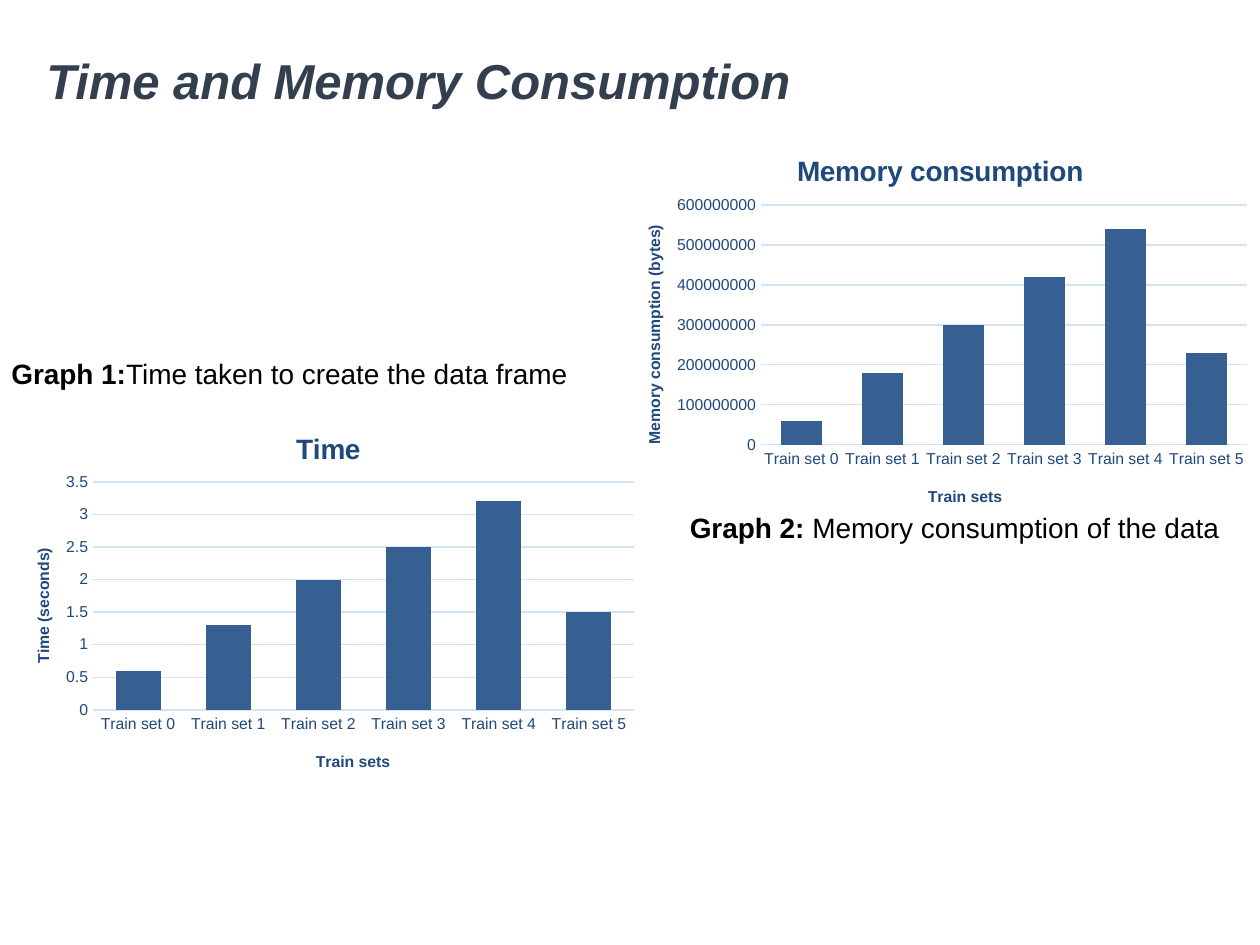
from dataclasses import dataclass

from lxml import etree
from pptx import Presentation
from pptx.chart.data import CategoryChartData
from pptx.dml.color import RGBColor
from pptx.enum.chart import XL_CHART_TYPE, XL_TICK_MARK
from pptx.enum.text import MSO_ANCHOR, PP_ALIGN
from pptx.oxml.ns import qn
from pptx.util import Emu, Pt

COLUMN = XL_CHART_TYPE.COLUMN_CLUSTERED
NO_TICK = XL_TICK_MARK.NONE
MIDDLE = MSO_ANCHOR.MIDDLE
LEFT, CENTER = PP_ALIGN.LEFT, PP_ALIGN.CENTER
PX = 914400 / 126
SETS = [f"Train set {i}" for i in range(6)]


@dataclass(frozen=True)
class Theme:
    face: str = "Arial"
    head: str = "333F4F"
    text: str = "000000"
    chart: str = "1F497D"
    bar: str = "376092"
    grid: str = "D4E3F4"
    head_size: int = 28
    body_size: int = 16
    axis_size: int = 9


THEME = Theme()


def px(*sizes):
    return [Emu(round(size * PX)) for size in sizes]


def style(font, size, color, **extra):
    values = {"name": THEME.face, "size": Pt(size), **extra}
    for name, value in values.items():
        setattr(font, name, value)
    font.color.rgb = RGBColor.from_string(color)


def rule(line):
    line.color.rgb = RGBColor.from_string(THEME.grid)
    line.width = Pt(0.75)


def add_text(slide, box, runs, size, color, align=LEFT, **extra):
    """Place one line; each run is a (text, format values) pair."""
    frame = slide.shapes.add_textbox(*px(*box)).text_frame
    frame.word_wrap = True
    para = frame.paragraphs[0]
    para.alignment = align
    for text, form in runs:
        run = para.add_run()
        run.text = text
        style(run.font, size, color, **form, **extra)
    return frame


def add_head(slide, box, text):
    form = {"bold": True, "italic": True}
    frame = add_text(slide, box, [(text, form)], THEME.head_size, THEME.head)
    frame.vertical_anchor = MIDDLE
    frame.paragraphs[0].line_spacing = 0.9


def add_note(slide, box, label, text):
    runs = [(label, {"bold": True}), (text, {"bold": False})]
    add_text(slide, box, runs, THEME.body_size, THEME.text, CENTER)


def pin(host, index, box, spot):
    """Fix a chart part at spot, given in px from the chart's corner."""
    for old in host.findall(qn("c:layout")):
        host.remove(old)
    layout = etree.Element(qn("c:layout"))
    manual = etree.SubElement(layout, qn("c:manualLayout"))
    values = {"xMode": "edge", "yMode": "edge"}
    if len(spot) == 4:
        values = {"layoutTarget": "inner", **values}
    for name, length, whole in zip("xywh", spot, box[2:] * 2):
        values[name] = f"{length / whole:.4f}"
    for name, value in values.items():
        etree.SubElement(manual, qn(f"c:{name}")).set("val", value)
    host.insert(index, layout)


def add_title(owner, text, size, box, spot):
    """Title a chart or an axis; both offer the same has_title switch."""
    owner.has_title = True
    title = getattr(owner, "chart_title", None) or owner.axis_title
    frame = title.text_frame
    frame.text = text
    style(frame.paragraphs[0].runs[0].font, size, THEME.chart, bold=True)
    pin(title._element, 1, box, spot)


def add_graph(slide, box, title, unit, series, top, step, plot, spots):
    data = CategoryChartData()
    data.categories = SETS
    data.add_series(*series)
    chart = slide.shapes.add_chart(COLUMN, *px(*box), data).chart
    chart.has_legend = False
    style(chart.font, THEME.axis_size, THEME.chart)

    bars = chart.plots[0]
    form = {"gap_width": 100, "overlap": -24, "vary_by_categories": False}
    for name, value in form.items():
        setattr(bars, name, value)
    fill = bars.series[0].format.fill
    fill.solid()
    fill.fore_color.rgb = RGBColor.from_string(THEME.bar)

    cat, val = chart.category_axis, chart.value_axis
    for axis in (cat, val):
        axis.major_tick_mark = axis.minor_tick_mark = NO_TICK
        style(axis.tick_labels.font, THEME.axis_size, THEME.chart)
    scale = {"minimum_scale": 0, "maximum_scale": top, "major_unit": step}
    for name, value in scale.items():
        setattr(val, name, value)
    rule(cat.format.line)
    rule(val.major_gridlines.format.line)
    val.format.line.fill.background()

    titles = [
        (chart, title, THEME.body_size),
        (cat, "Train sets", THEME.axis_size),
        (val, unit, THEME.axis_size),
    ]
    for (owner, text, size), spot in zip(titles, spots):
        add_title(owner, text, size, box, spot)
    pin(chart._chartSpace.chart.plotArea, 0, box, plot)


def build():
    deck = Presentation()
    deck.slide_width, deck.slide_height = px(1260, 945)
    slide = deck.slides.add_slide(deck.slide_layouts[6])
    add_head(slide, (34, 42, 1086, 84), "Time and Memory Consumption")
    add_graph(
        slide, (0, 404, 646, 389), "Time", "Time (seconds)",
        ("Series 1", [0.6, 1.3, 2, 2.5, 3.2, 1.5]), 3.5, 0.5,
        plot=(93, 78, 541, 228),
        spots=[(291, 22), (313, 344), (30, 141)],
    )
    memory = [n * 10**7 for n in (6, 18, 30, 42, 54, 23)]
    add_graph(
        slide, (611, 126, 649, 402), "Memory consumption",
        "Memory consumption (bytes)",
        ("Memory consumption", memory), 6 * 10**8, 10**8,
        plot=(150, 79, 486, 240),
        spots=[(181, 22), (314, 357), (30, 96)],
    )
    add_note(slide, (633, 504, 643, 67), "Graph 2: ",
             "Memory consumption of the data")
    add_note(slide, (-32, 350, 643, 67), "Graph 1:",
             "Time taken to create the data frame")
    deck.save("out.pptx")


if __name__ == "__main__":
    build()
